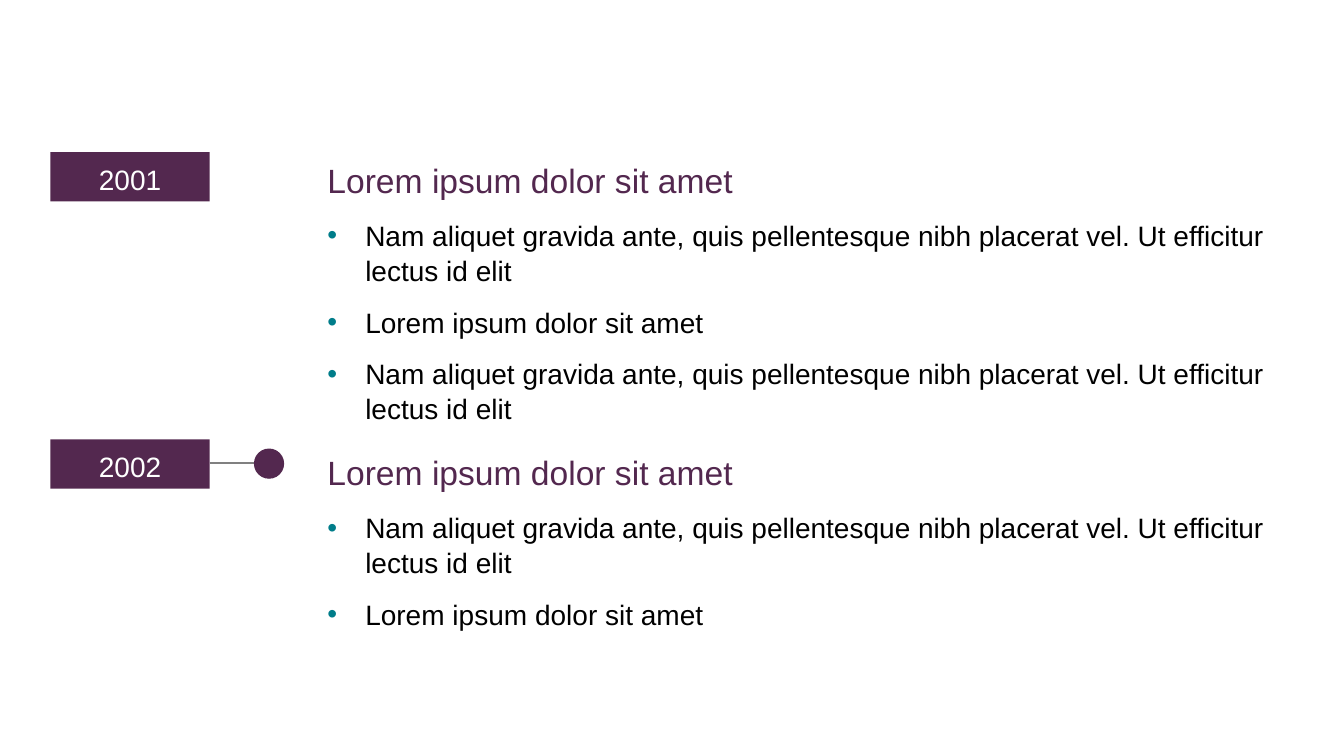
import dataclasses

import pptx
import pptx.dml.color
import pptx.enum.shapes
import pptx.enum.text
import pptx.util
from lxml import etree
from pptx.oxml.ns import qn

Pt = pptx.util.Pt
SHAPE = pptx.enum.shapes.MSO_SHAPE
ALIGN = pptx.enum.text.PP_ALIGN
ANCHOR = pptx.enum.text.MSO_ANCHOR


@dataclasses.dataclass(frozen=True)
class Theme:
    font: str = "Arial"
    plum: str = "53284F"
    teal: str = "007D8A"
    grey: str = "808080"
    black: str = "000000"
    white: str = "FFFFFF"
    heading_size: float = 24
    body_size: float = 20
    indent: float = 27
    line_spacing: float = 1.04


THEME = Theme()
LONG_POINT = "Nam aliquet gravida ante, quis pellentesque nibh placerat vel. Ut efficitur lectus id elit"
SHORT_POINT = "Lorem ipsum dolor sit amet"
EVENTS = [
    (SHORT_POINT, [LONG_POINT, SHORT_POINT, LONG_POINT]),
    (SHORT_POINT, [LONG_POINT, SHORT_POINT]),
]


def rgb(value):
    return pptx.dml.color.RGBColor.from_string(value)


def write(paragraph, text, *, size=THEME.body_size, color=THEME.black,
          align=ALIGN.LEFT, before=0, spacing=1.0, bullet=False):
    """Fill one paragraph with formatted text."""
    if bullet:
        properties = paragraph._p.get_or_add_pPr()
        properties.set("marL", str(Pt(THEME.indent)))
        properties.set("indent", str(-Pt(THEME.indent)))
        bullet_color = etree.SubElement(properties, qn("a:buClr"))
        etree.SubElement(bullet_color, qn("a:srgbClr"), val=THEME.teal)
        etree.SubElement(properties, qn("a:buFont"), typeface=THEME.font)
        etree.SubElement(properties, qn("a:buChar"), char="•")
    paragraph.alignment = align
    paragraph.space_before = Pt(before)
    paragraph.line_spacing = spacing
    run = paragraph.add_run()
    run.text = text
    run.font.name = THEME.font
    run.font.size = Pt(size)
    run.font.color.rgb = rgb(color)


def add_plum_shape(slide, kind, left, top, width, height):
    shape = slide.shapes.add_shape(kind, Pt(left), Pt(top), Pt(width), Pt(height))
    shape.shadow.inherit = False
    shape.fill.solid()
    shape.fill.fore_color.rgb = rgb(THEME.plum)
    shape.line.fill.background()
    return shape


def add_year_badge(slide, year, left, top, width, height):
    badge = add_plum_shape(slide, SHAPE.RECTANGLE, left, top, width, height)
    frame = badge.text_frame
    frame.word_wrap = True
    frame.vertical_anchor = ANCHOR.MIDDLE
    frame.margin_top, frame.margin_bottom = Pt(3.6), Pt(0)
    write(frame.paragraphs[0], year, color=THEME.white, align=ALIGN.CENTER)


def add_marker(slide, left, top, width, diameter):
    """Draw a stem that ends in a dot at the right of the box."""
    middle = top + diameter / 2
    dot_left = left + width - diameter
    stem = slide.shapes.add_connector(
        pptx.enum.shapes.MSO_CONNECTOR.STRAIGHT,
        Pt(left), Pt(middle - 0.7), Pt(dot_left + 3), Pt(middle - 0.7))
    stem.line.color.rgb = rgb(THEME.grey)
    stem.line.width = Pt(1.5)
    etree.SubElement(stem._element.spPr, qn("a:effectLst"))
    add_plum_shape(slide, SHAPE.OVAL, dot_left, top, diameter, diameter)


def add_events(slide, events, left, top, width, height):
    box = slide.shapes.add_textbox(Pt(left), Pt(top), Pt(width), Pt(height))
    frame = box.text_frame
    frame.word_wrap = True
    frame.margin_top = Pt(4.5)
    for index, (heading, points) in enumerate(events):
        paragraph = frame.add_paragraph() if index else frame.paragraphs[0]
        write(paragraph, heading, size=THEME.heading_size, color=THEME.plum,
              before=18 if index else 0, spacing=THEME.line_spacing)
        for point in points:
            write(frame.add_paragraph(), point, before=12,
                  spacing=THEME.line_spacing, bullet=True)


def add_timeline(slide, left, top, width, height):
    badge_width, badge_height, second_offset = 113.8, 35.2, 205.2

    # Headings and their points
    text_offset = 190.8
    add_events(slide, EVENTS, left + text_offset, top, width - text_offset, height)

    # Marker of the second year
    add_marker(slide, left + badge_width, top + second_offset + 6.5, 53.2, 21.6)

    # Year badges
    for year, offset in (("2001", 0), ("2002", second_offset)):
        add_year_badge(slide, year, left, top + offset, badge_width, badge_height)


def main():
    presentation = pptx.Presentation()
    presentation.slide_width, presentation.slide_height = Pt(960), Pt(540)
    slide = presentation.slides.add_slide(presentation.slide_layouts[6])
    add_timeline(slide, 36, 108.7, 887.8, 380.2)
    presentation.save("out.pptx")


if __name__ == "__main__":
    main()
